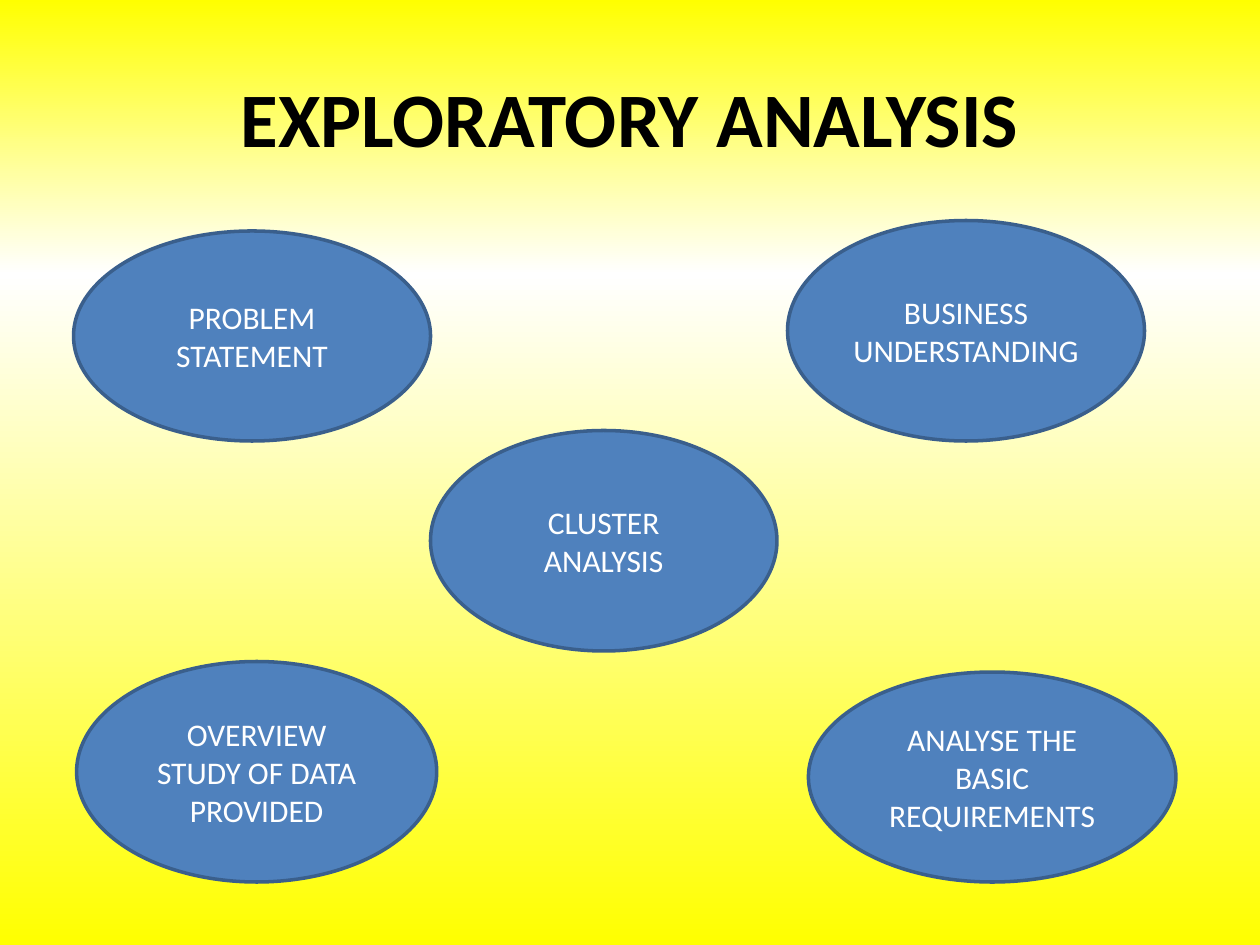
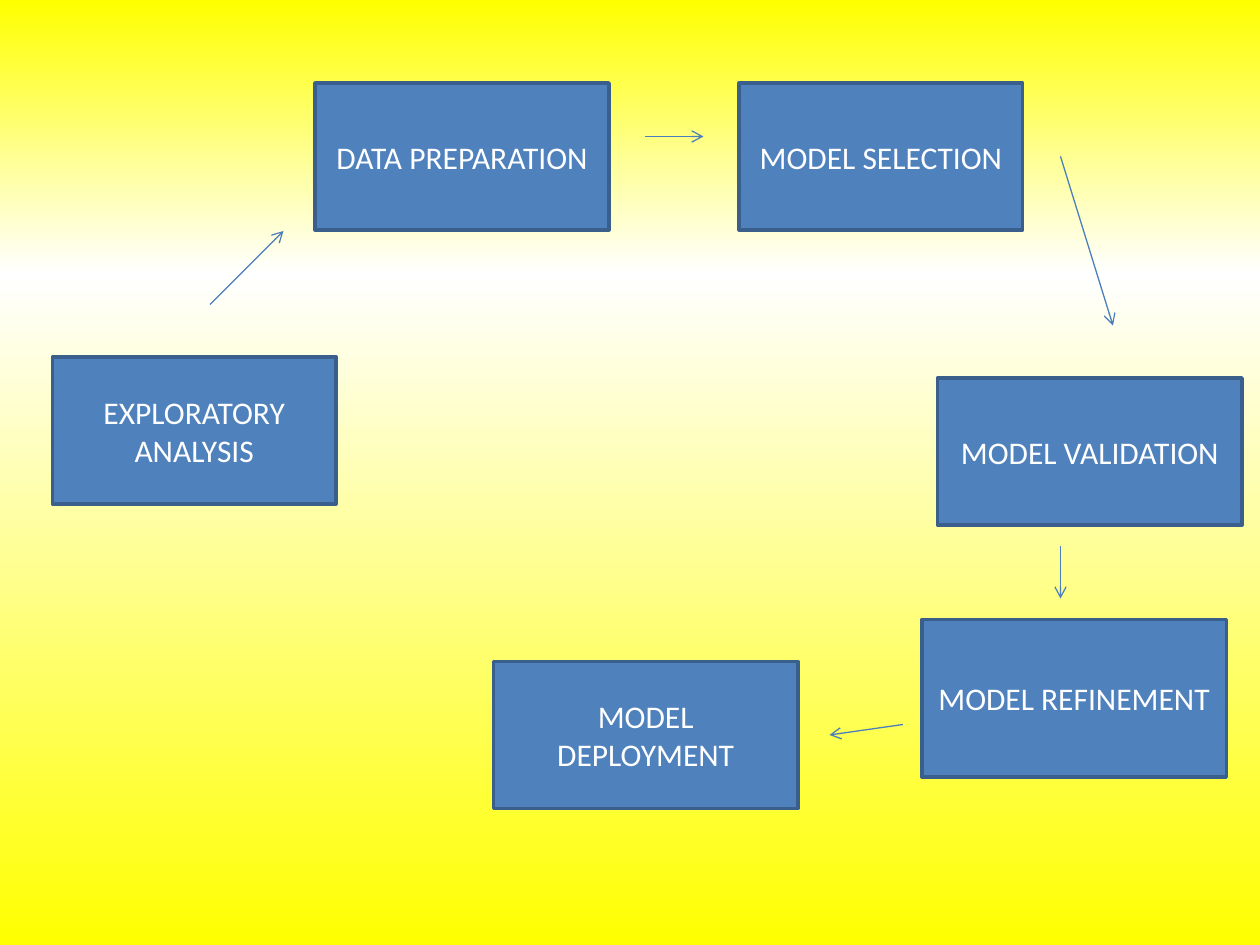
from dataclasses import dataclass

from lxml import etree
from pptx import Presentation, util as u
from pptx.dml.color import RGBColor
from pptx.enum import shapes, text
from pptx.oxml import ns


@dataclass(frozen=True)
class Theme:
    font: str = "Calibri"
    head: int = 44
    body: int = 18
    ink: str = "000000"
    light: str = "FFFFFF"
    fill: str = "4F81BD"
    edge: str = "3A5F8C"
    arrow: str = "4B7EBC"
    fade: tuple = ((0, "FFFF00"), (29, "FFFFFF"), (100, "FFFF00"))


THEME = Theme()
COLS, ROWS = 120, 90
CELL = u.Inches(10) / COLS
OVAL = shapes.MSO_SHAPE.OVAL
RECT = shapes.MSO_SHAPE.RECTANGLE

TITLE = ("EXPLORATORY ANALYSIS", (6, 3.6, 108, 15))
TOPICS = [
    ("PROBLEM STATEMENT", (7, 22, 34, 20)),
    ("BUSINESS UNDERSTANDING", (75, 21, 34, 21)),
    ("OVERVIEW STUDY OF DATA PROVIDED", (7.3, 63, 34.3, 21)),
    ("ANALYSE THE BASIC REQUIREMENTS", (77, 64, 35, 20)),
    ("CLUSTER ANALYSIS", (41, 41, 33, 21)),
]
STEPS = [
    ("EXPLORATORY ANALYSIS", (5, 34, 27, 14)),
    ("DATA PREPARATION", (30, 7.9, 28, 14)),
    ("MODEL SELECTION", (70.4, 7.9, 27, 14)),
    ("MODEL VALIDATION", (89.3, 36, 29, 14)),
    ("MODEL REFINEMENT", (87.8, 59, 29, 15)),
    ("MODEL DEPLOYMENT", (47, 63, 29, 14)),
]
ARROWS = [
    (20, 29, 27, 22),
    (61.4, 13, 67, 13),
    (101, 14.9, 106, 31),
    (101, 52, 101, 57),
    (86, 69, 79, 70),
]


def grid(cells):
    return [u.Emu(round(n * CELL)) for n in cells]


def color(code):
    return RGBColor.from_string(code)


def write(shape, words, size=THEME.body, ink=THEME.light, bold=False):
    frame = shape.text_frame
    frame.word_wrap = True
    frame.vertical_anchor = text.MSO_ANCHOR.MIDDLE
    para = frame.paragraphs[0]
    para.alignment = text.PP_ALIGN.CENTER
    run = para.add_run()
    run.text = words
    run.font.name = THEME.font
    run.font.size = u.Pt(size)
    run.font.bold = bold
    run.font.color.rgb = color(ink)


def paint(master):
    fill = master.background.fill
    fill.gradient()
    fill.gradient_angle = 270
    stops = master.element.xpath("./p:cSld/p:bg//a:gsLst")[0]
    for stop in list(stops):
        stops.remove(stop)
    for share, code in THEME.fade:
        stop = etree.SubElement(stops, ns.qn("a:gs"), pos=str(share * 1000))
        etree.SubElement(stop, ns.qn("a:srgbClr"), val=code)


def title(slide, words, cells):
    shape = slide.shapes.title
    shape.left, shape.top, shape.width, shape.height = grid(cells)
    write(shape, words, size=THEME.head, ink=THEME.ink, bold=True)


def node(slide, kind, words, cells):
    shape = slide.shapes.add_shape(kind, *grid(cells))
    shape.shadow.inherit = False
    shape.fill.solid()
    shape.fill.fore_color.rgb = color(THEME.fill)
    shape.line.color.rgb = color(THEME.edge)
    shape.line.width = u.Pt(2)
    write(shape, words)


def arrow(slide, cells):
    line = slide.shapes.add_connector(shapes.MSO_CONNECTOR.STRAIGHT, *grid(cells))
    line.line.color.rgb = color(THEME.arrow)
    line.line.width = u.Pt(0.75)
    props = line.element.spPr
    etree.SubElement(props.find(ns.qn("a:ln")), ns.qn("a:tailEnd"), type="arrow")
    etree.SubElement(props, ns.qn("a:effectLst"))


def main():
    deck = Presentation()
    deck.slide_width, deck.slide_height = grid((COLS, ROWS))
    paint(deck.slide_master)
    only, blank = deck.slide_layouts[5], deck.slide_layouts[6]

    topics = deck.slides.add_slide(only)
    title(topics, *TITLE)
    for words, cells in TOPICS:
        node(topics, OVAL, words, cells)

    flow = deck.slides.add_slide(blank)
    for words, cells in STEPS:
        node(flow, RECT, words, cells)
    for cells in ARROWS:
        arrow(flow, cells)

    deck.save("out.pptx")


if __name__ == "__main__":
    main()
